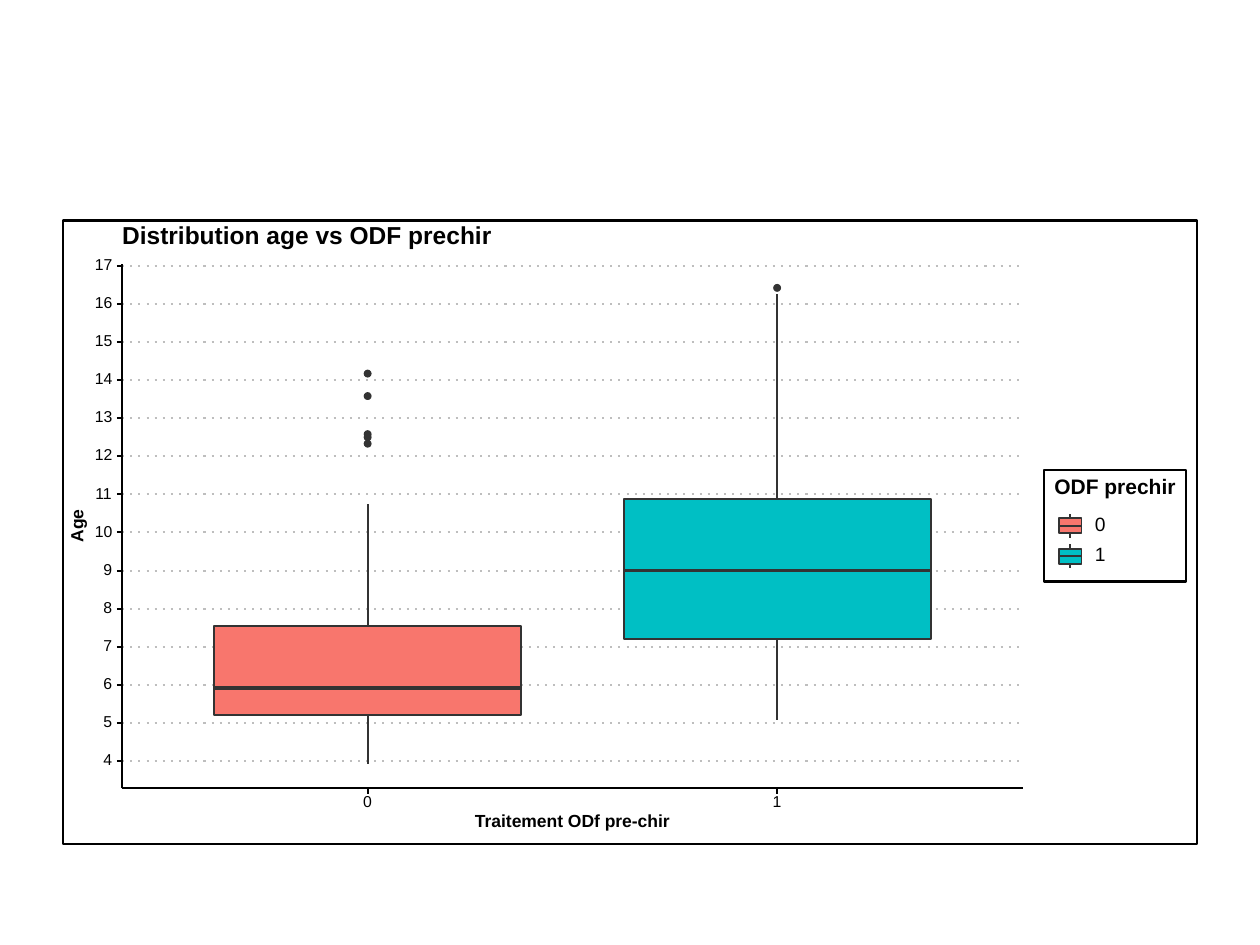
from lxml.etree import SubElement
from pptx import Presentation
from pptx.dml.color import RGBColor
from pptx.enum.shapes import MSO_CONNECTOR, MSO_SHAPE
from pptx.enum.text import MSO_ANCHOR, MSO_AUTO_SIZE, PP_ALIGN
from pptx.oxml.ns import qn
from pptx.util import Pt

BLACK, WHITE, GRID, INK = "000000", "FFFFFF", "BEBEBE", "333333"


def color(hex_code):
    return RGBColor.from_string(hex_code)


class Plot:
    """Style and drawing methods for the current slide; lengths in points."""

    font = "Arial"
    thin, normal, thick = 1.07, 1.16, 2.13

    def __init__(self, slide):
        self.slide = slide
        self.shapes = slide.shapes

    def shape(self, kind, x, y, w, h, fill, line, weight):
        item = self.shapes.add_shape(kind, Pt(x), Pt(y), Pt(w), Pt(h))
        item.shadow.inherit = False
        item.fill.solid()
        item.fill.fore_color.rgb = color(fill)
        item.line.color.rgb = color(line)
        item.line.width = Pt(weight)

    def rect(self, x, y, w, h, fill=WHITE, line=BLACK, weight=normal):
        self.shape(MSO_SHAPE.RECTANGLE, x, y, w, h, fill, line, weight)

    def dot(self, x, y, size=3.8):
        self.shape(MSO_SHAPE.OVAL, x - size / 2, y - size / 2, size, size,
                   INK, INK, 0.71)

    def line(self, x1, y1, x2, y2, ink=BLACK, weight=normal, dash=None):
        item = self.shapes.add_connector(
            MSO_CONNECTOR.STRAIGHT, Pt(x1), Pt(y1), Pt(x2), Pt(y2))
        item.line.color.rgb = color(ink)
        item.line.width = Pt(weight)
        properties = item.element.spPr
        if dash:
            SubElement(properties.find(qn("a:ln")), qn("a:prstDash"), val=dash)
        SubElement(properties, qn("a:effectLst"))

    def format_text(self, frame, text, size, bold, align):
        frame.text = text
        frame.auto_size = MSO_AUTO_SIZE.NONE
        frame.word_wrap = False
        frame.vertical_anchor = MSO_ANCHOR.MIDDLE
        frame.margin_left = frame.margin_right = Pt(0)
        frame.margin_top = frame.margin_bottom = Pt(0)
        paragraph = frame.paragraphs[0]
        paragraph.alignment = align
        paragraph.line_spacing = Pt(size)
        paragraph.font.name = self.font
        paragraph.font.size = Pt(size)
        paragraph.font.bold = bold
        paragraph.font.color.rgb = color(BLACK)

    def label(self, text, x, y, w, size, bold=False, rotation=0):
        """Text centred on the point (x, y)."""
        h = size * 0.9
        box = self.shapes.add_textbox(Pt(x - w / 2), Pt(y - h / 2), Pt(w), Pt(h))
        box.rotation = rotation
        self.format_text(box.text_frame, text, size, bold, PP_ALIGN.CENTER)

    def title(self, text, x, y, w, h, size):
        title = self.shapes.title
        title.left, title.top, title.width, title.height = Pt(x), Pt(y), Pt(w), Pt(h)
        self.format_text(title.text_frame, text, size, True, PP_ALIGN.LEFT)
        self.shapes.element.append(title.element)  # in front of the frame


prs = Presentation()
prs.slide_width, prs.slide_height = Pt(720), Pt(540)
plot = Plot(prs.slides.add_slide(prs.slide_layouts[5]))

# Scales
AXIS_LEFT, AXIS_RIGHT, AXIS_TOP, AXIS_BOTTOM = 69.8, 584.6, 151, 450.5
BOX_WIDTH, TICK = 175.5, 3
AGES = range(4, 18)


def age_y(age):
    return 151.9 + (17 - age) * 21.77


# Groups: x centre, fill, whisker low, lower quartile, median, upper, whisker high
groups = {
    "0": (210.1, "F8766D", 3.92, 5.2, 5.92, 7.55, 10.75,
          [13.58, 14.17, 12.5, 12.33, 12.58]),
    "1": (444.1, "00BFC4", 5.08, 7.2, 9, 10.88, 16.25, [16.42]),
}

# Frame and grid
plot.rect(36, 126, 648, 356.4)
for age in AGES:
    plot.line(AXIS_LEFT, age_y(age), AXIS_RIGHT, age_y(age), GRID, dash="dot")

# Box plots
for x, fill, low, q1, median, q3, high, outliers in groups.values():
    left = x - BOX_WIDTH / 2
    for age in outliers:
        plot.dot(x, age_y(age))
    plot.line(x, age_y(q3), x, age_y(high), INK, plot.thin)
    plot.line(x, age_y(q1), x, age_y(low), INK, plot.thin)
    plot.rect(left, age_y(q3), BOX_WIDTH, age_y(q1) - age_y(q3),
              fill, INK, plot.thin)
    plot.line(left, age_y(median), left + BOX_WIDTH, age_y(median),
              INK, plot.thick)

# Age axis
plot.line(AXIS_LEFT, AXIS_BOTTOM, AXIS_LEFT, AXIS_TOP, weight=plot.thin)
for age in AGES:
    width = 5 * len(str(age))
    plot.label(str(age), 64.2 - width / 2, age_y(age), width, 9)
    plot.line(AXIS_LEFT - TICK, age_y(age), AXIS_LEFT, age_y(age))
plot.label("Age", 44.6, 300.6, 18.9, 10, True, 270)

# Treatment axis
plot.line(AXIS_LEFT, AXIS_BOTTOM, AXIS_RIGHT, AXIS_BOTTOM, weight=plot.thin)
for name, (x, *_) in groups.items():
    plot.line(x, AXIS_BOTTOM + TICK, x, AXIS_BOTTOM)
    plot.label(name, x, 459, 5, 9)
plot.label("Traitement ODf pre-chir", 327, 469.8, 112, 10, True)

# Legend
plot.rect(596.8, 268.6, 81, 63.7)
plot.label("ODF prechir", 637.2, 279, 69, 12, True)
for row, (name, (_, fill, *_)) in enumerate(groups.items()):
    x, y = 611.5, 300.5 + row * 17.28
    for side in (-1, 1):
        plot.line(x, y + side * 4.3, x, y + side * 6.9, INK, plot.thin)
    plot.rect(x - 6.5, y - 4.3, 13, 8.6, fill, INK, plot.thin)
    plot.line(x - 6.5, y, x + 6.5, y, INK, plot.thin)
    plot.label(name, 628.8, y, 6, 11)

# Title
plot.title("Distribution age vs ODF prechir", AXIS_LEFT, 128.9, 240, 13, 14)

prs.save("out.pptx")
